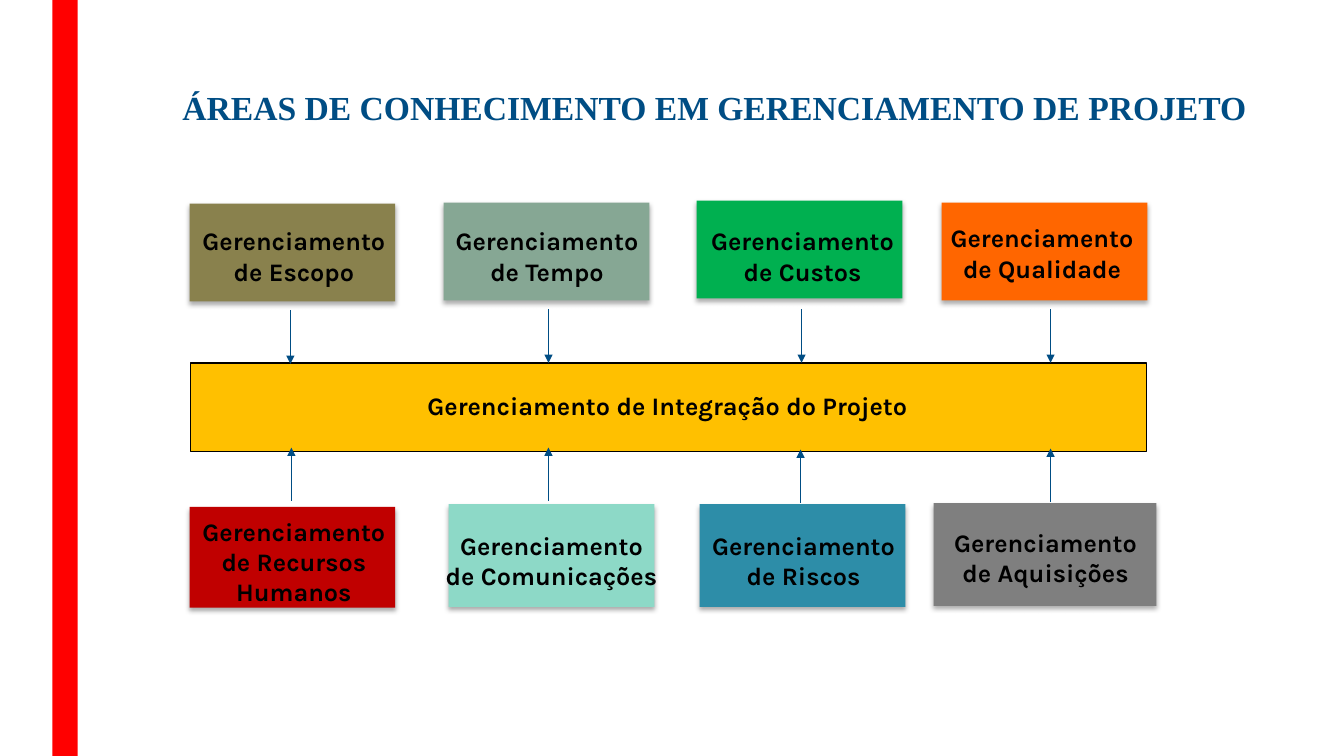
"""Builds the slide on the knowledge areas of project management."""
import pptx
import pptx.util
import pptx.dml.color
import pptx.enum.shapes
import pptx.enum.text
import pptx.oxml
import pptx.oxml.ns

Inches = pptx.util.Inches
Pt = pptx.util.Pt
RGBColor = pptx.dml.color.RGBColor
Align = pptx.enum.text.PP_ALIGN

RED = RGBColor(0xFF, 0x00, 0x00)
NAVY = RGBColor(0x00, 0x4D, 0x84)
BLACK = RGBColor(0x00, 0x00, 0x00)
AMBER = RGBColor(0xFF, 0xC0, 0x00)
OLIVE = RGBColor(0x89, 0x81, 0x4D)
SAGE = RGBColor(0x86, 0xA7, 0x94)
GREEN = RGBColor(0x00, 0xB0, 0x50)
ORANGE = RGBColor(0xFF, 0x66, 0x00)
CRIMSON = RGBColor(0xC0, 0x00, 0x00)
MINT = RGBColor(0x8D, 0xD9, 0xC7)
TEAL = RGBColor(0x2D, 0x8D, 0xA8)
GRAY = RGBColor(0x7F, 0x7F, 0x7F)

ARROW_LENGTH = 0.53

AREAS = [
    ("Gerenciamento de Escopo", OLIVE, (1.88, 2.02, 2.04, 0.97), (1.9, 2.19, 2.03, 0.71)),
    ("Gerenciamento de Tempo", SAGE, (4.4, 2.01, 2.04, 0.97), (4.4, 2.19, 2.05, 0.71)),
    ("Gerenciamento\nde Custos", GREEN, (6.91, 1.99, 2.04, 0.97), (6.9, 2.19, 2.12, 0.71)),
    ("Gerenciamento\nde Qualidade", ORANGE, (9.34, 2.01, 2.04, 0.97), (9.31, 2.16, 2.05, 0.71)),
    ("Gerenciamento\nde Recursos\nHumanos", CRIMSON, (1.88, 5.03, 2.04, 1), (1.9, 5.07, 2.03, 1.01)),
    ("Gerenciamento\nde Comunicações", MINT, (4.45, 5, 2.04, 1.02), (4.27, 5.21, 2.4, 0.71)),
    ("Gerenciamento de Riscos", TEAL, (6.94, 5, 2.04, 1.02), (6.95, 5.21, 2.04, 0.71)),
    ("Gerenciamento\nde Aquisições", GRAY, (9.26, 4.99, 2.21, 1.02), (9.28, 5.18, 2.18, 0.71)),
]
DOWN_ARROWS = [(2.88, 3.08), (5.44, 3.07), (7.95, 3.07), (10.42, 3.07)]
UP_ARROWS = [(2.89, 4.97), (5.44, 4.97), (7.94, 4.99), (10.42, 4.98)]


class Diagram:
    """Holds the text style and the slide being drawn."""

    def __init__(self, slide, font="Karla", size=18):
        self.slide = slide
        self.font = font
        self.size = size

    def block(self, place, fill, outline=None, shadow=False):
        """Draws a filled rectangle, with an optional outline or shadow."""
        block = self.slide.shapes.add_shape(
            pptx.enum.shapes.MSO_SHAPE.RECTANGLE, *map(Inches, place))
        block.shadow.inherit = False
        block.fill.solid()
        block.fill.fore_color.rgb = fill
        if outline is None:
            block.line.fill.background()
        else:
            block.line.color.rgb = outline
            block.line.width = Pt(1)
        if shadow:
            effects = block._element.spPr.find(pptx.oxml.ns.qn("a:effectLst"))
            effects.append(pptx.oxml.parse_xml(
                f'<a:outerShdw {pptx.oxml.ns.nsdecls("a")} blurRad="{Pt(3.5)}" '
                f'dist="{Pt(2.2)}" dir="5400000" rotWithShape="0">'
                '<a:srgbClr val="000000"><a:alpha val="32000"/></a:srgbClr>'
                '</a:outerShdw>'))

    def label(self, place, text, color=BLACK, align=Align.CENTER, font=None, size=None):
        """Writes bold text, one paragraph per line."""
        frame = self.slide.shapes.add_textbox(*map(Inches, place)).text_frame
        frame.word_wrap = True
        frame.text = text
        for paragraph in frame.paragraphs:
            paragraph.alignment = align
            for run in paragraph.runs:
                run.font.name = font or self.font
                run.font.size = Pt(size or self.size)
                run.font.bold = True
                run.font.color.rgb = color

    def arrow(self, x, start, end):
        """Draws a vertical arrow that points at its end."""
        arrow = self.slide.shapes.add_connector(
            pptx.enum.shapes.MSO_CONNECTOR.STRAIGHT,
            Inches(x), Inches(start), Inches(x), Inches(end))
        arrow.line.color.rgb = NAVY
        arrow.line.width = Pt(0.75)
        namespace = pptx.oxml.ns.nsdecls("a")
        arrow.line._get_or_add_ln().append(
            pptx.oxml.parse_xml(f'<a:tailEnd {namespace} type="triangle"/>'))
        arrow._element.spPr.append(pptx.oxml.parse_xml(f'<a:effectLst {namespace}/>'))


def main():
    """Builds and saves the presentation."""
    presentation = pptx.Presentation()
    presentation.slide_width = Inches(13.33)
    presentation.slide_height = Inches(7.5)
    diagram = Diagram(presentation.slides.add_slide(presentation.slide_layouts[6]))

    diagram.block((0.52, 0, 0.25, 7.5), RED)
    diagram.label((1.71, 0.81, 11.22, 0.5),
                  "ÁREAS DE CONHECIMENTO EM GERENCIAMENTO DE PROJETO",
                  color=NAVY, align=Align.LEFT, font="Times New Roman", size=24)

    diagram.block((1.89, 3.6, 9.48, 0.88), AMBER, outline=BLACK)
    diagram.label((2.12, 3.82, 9, 0.4), "Gerenciamento de Integração do Projeto")

    for name, fill, block_place, label_place in AREAS:
        diagram.block(block_place, fill, shadow=True)
        diagram.label(label_place, name)

    for x, start in DOWN_ARROWS:
        diagram.arrow(x, start, start + ARROW_LENGTH)
    for x, start in UP_ARROWS:
        diagram.arrow(x, start, start - ARROW_LENGTH)

    presentation.save("out.pptx")


if __name__ == "__main__":
    main()
